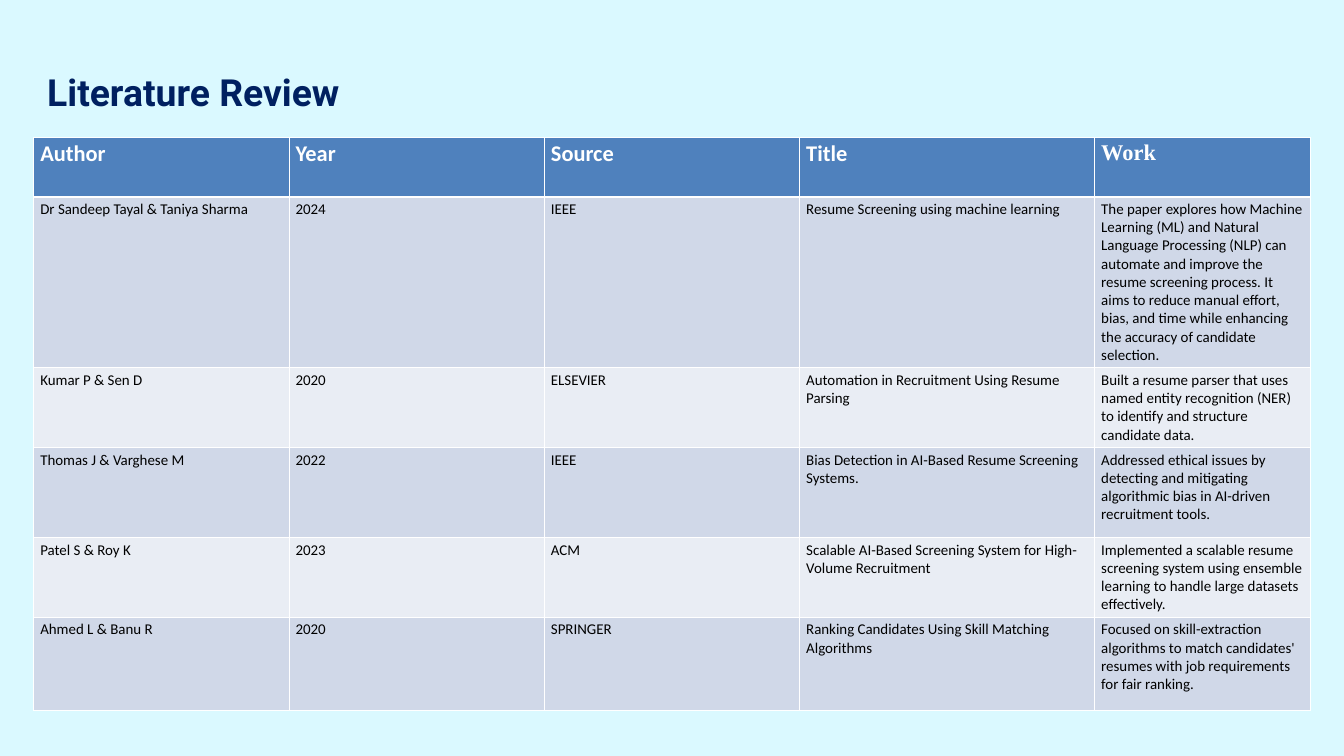
from dataclasses import dataclass

from lxml.etree import fromstring
from pptx import Presentation
from pptx.dml.color import RGBColor
from pptx.enum.text import MSO_ANCHOR, MSO_AUTO_SIZE, PP_ALIGN
from pptx.util import Cm, Pt


@dataclass(frozen=True)
class Theme:
    background: RGBColor = RGBColor.from_string("DAF9FF")
    navy: RGBColor = RGBColor.from_string("002060")
    white: RGBColor = RGBColor.from_string("FFFFFF")
    black: RGBColor = RGBColor.from_string("000000")
    header: RGBColor = RGBColor.from_string("4F81BD")
    bands: tuple = (RGBColor.from_string("E9EDF4"), RGBColor.from_string("D0D8E8"))
    title_size: int = Pt(40)
    header_size: int = Pt(24)
    body_size: int = Pt(16)
    title_spacing: int = Pt(79.7)
    thin_rule: int = Pt(1)
    thick_rule: int = Pt(3)


def apply_format(target, values):
    for name, value in values.items():
        if name == "color":
            target.color.rgb = value
        else:
            setattr(target, name, value)


def add_borders(cell, color, widths):
    properties = cell._tc.get_or_add_tcPr()
    for position, (side, width) in enumerate(widths.items()):
        properties.insert(position, fromstring(
            f'<a:ln{side} xmlns:a="http://schemas.openxmlformats.org/drawingml/2006/main" w="{width}">'
            f'<a:solidFill><a:srgbClr val="{color}"/></a:solidFill></a:ln{side}>'))


theme = Theme()
title_font = {"size": theme.title_size, "name": "Roboto", "bold": True, "color": theme.navy}
header_font = {"size": theme.header_size, "name": "Calibri", "bold": True, "color": theme.white}
body_font = {"size": theme.body_size, "name": "Calibri", "bold": False, "color": theme.black}

headings = ("Author", "Year", "Source", "Title", "Work")
papers = (
    ("Dr Sandeep Tayal & Taniya Sharma", "2024", "IEEE",
     "Resume Screening using machine learning",
     "The paper explores how Machine Learning (ML) and Natural Language Processing (NLP) can "
     "automate and improve the resume screening process. It aims to reduce manual effort, bias, "
     "and time while enhancing the accuracy of candidate selection."),
    ("Kumar P & Sen D", "2020", "ELSEVIER",
     "Automation in Recruitment Using Resume Parsing",
     "Built a resume parser that uses named entity recognition (NER) to identify and structure "
     "candidate data."),
    ("Thomas J & Varghese M", "2022", "IEEE",
     "Bias Detection in AI-Based Resume Screening Systems.",
     "Addressed ethical issues by detecting and mitigating algorithmic bias in AI-driven "
     "recruitment tools."),
    ("Patel S & Roy K", "2023", "ACM",
     "Scalable AI-Based Screening System for High-Volume Recruitment",
     "Implemented a scalable resume screening system using ensemble learning to handle large "
     "datasets effectively."),
    ("Ahmed L & Banu R", "2020", "SPRINGER",
     "Ranking Candidates Using Skill Matching Algorithms",
     "Focused on skill-extraction algorithms to match candidates' resumes with job requirements "
     "for fair ranking."),
)
column_widths = (9.65, 9.65, 9.65, 11.15, 8.15)
row_heights = (2.26, 6.35, 2.97, 3.4, 2.97, 3.53)

presentation = Presentation()
apply_format(presentation, {"slide_width": Cm(50.8), "slide_height": Cm(28.58)})
slide = presentation.slides.add_slide(presentation.slide_layouts[5])
slide.background.fill.solid()
slide.background.fill.fore_color.rgb = theme.background

review = slide.shapes.add_table(
    len(row_heights), len(column_widths), Cm(1.27), Cm(5.18),
    Cm(sum(column_widths)), Cm(sum(row_heights))).table
for column, width in zip(review.columns, column_widths):
    column.width = Cm(width)
for row, height in zip(review.rows, row_heights):
    row.height = Cm(height)

for row_number, entries in enumerate((headings, *papers)):
    is_header = row_number == 0
    top_rule = theme.thick_rule if row_number == 1 else theme.thin_rule
    bottom_rule = theme.thick_rule if is_header else theme.thin_rule
    for column_number, entry in enumerate(entries):
        cell = review.cell(row_number, column_number)
        cell.text = entry
        cell.fill.solid()
        cell.fill.fore_color.rgb = theme.header if is_header else theme.bands[row_number % 2]
        add_borders(cell, theme.white, {"L": theme.thin_rule, "R": theme.thin_rule,
                                        "T": top_rule, "B": bottom_rule})
        font = cell.text_frame.paragraphs[0].runs[0].font
        apply_format(font, header_font if is_header else body_font)
        if entry == "Work":
            font.name = "Times New Roman"

heading = slide.shapes.title
apply_format(heading, {"left": Cm(1.27), "top": Cm(1.88), "width": Cm(12.07), "height": Cm(2.03)})
heading.text_frame.text = "Literature Review"
apply_format(heading.text_frame, {
    "margin_left": Cm(0.15), "margin_right": Cm(0.15),
    "margin_top": Cm(0.15), "margin_bottom": Cm(0.15),
    "vertical_anchor": MSO_ANCHOR.MIDDLE, "auto_size": MSO_AUTO_SIZE.NONE, "word_wrap": True})
heading_line = heading.text_frame.paragraphs[0]
apply_format(heading_line, {"alignment": PP_ALIGN.CENTER, "line_spacing": theme.title_spacing})
apply_format(heading_line.runs[0].font, title_font)

presentation.save("out.pptx")
